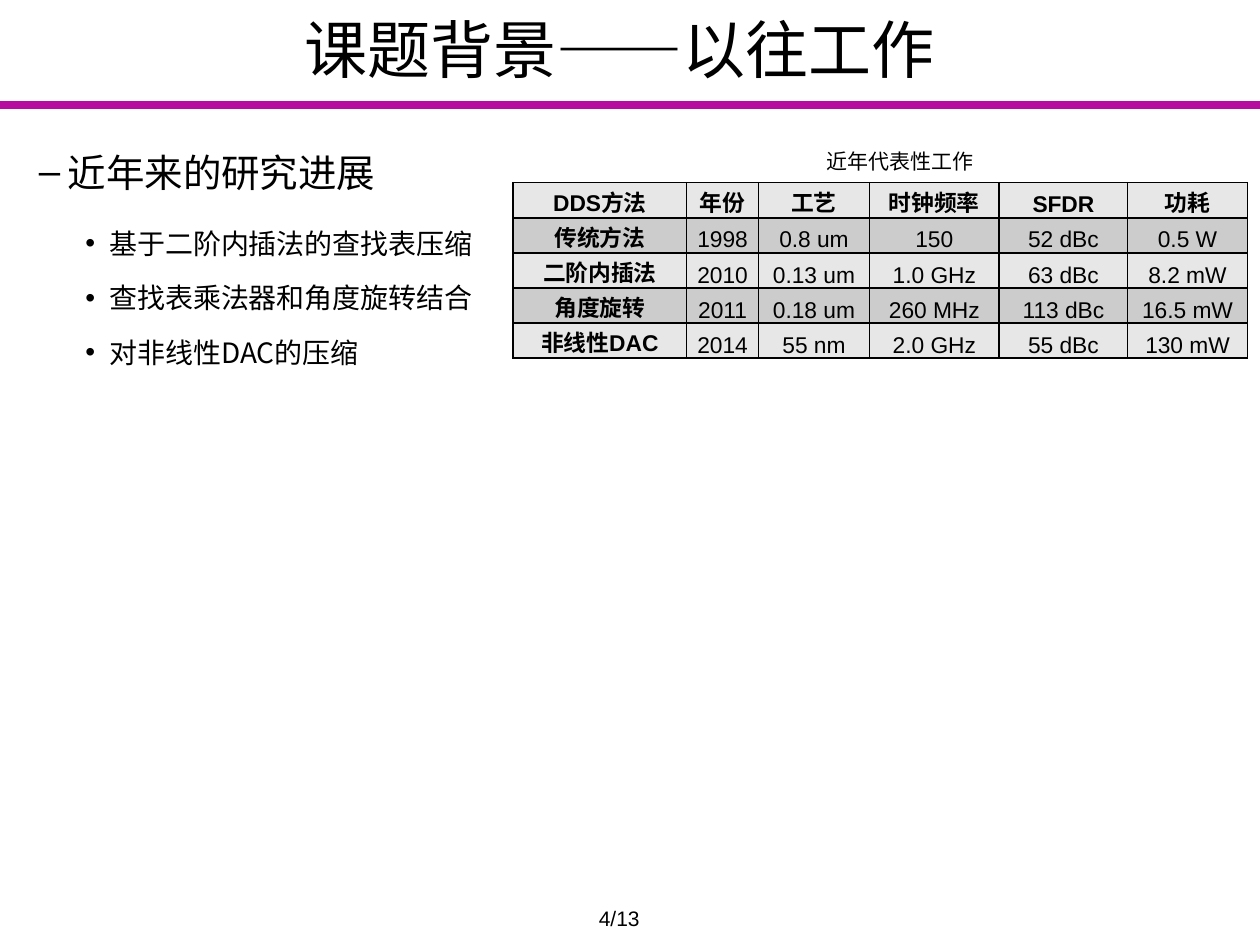
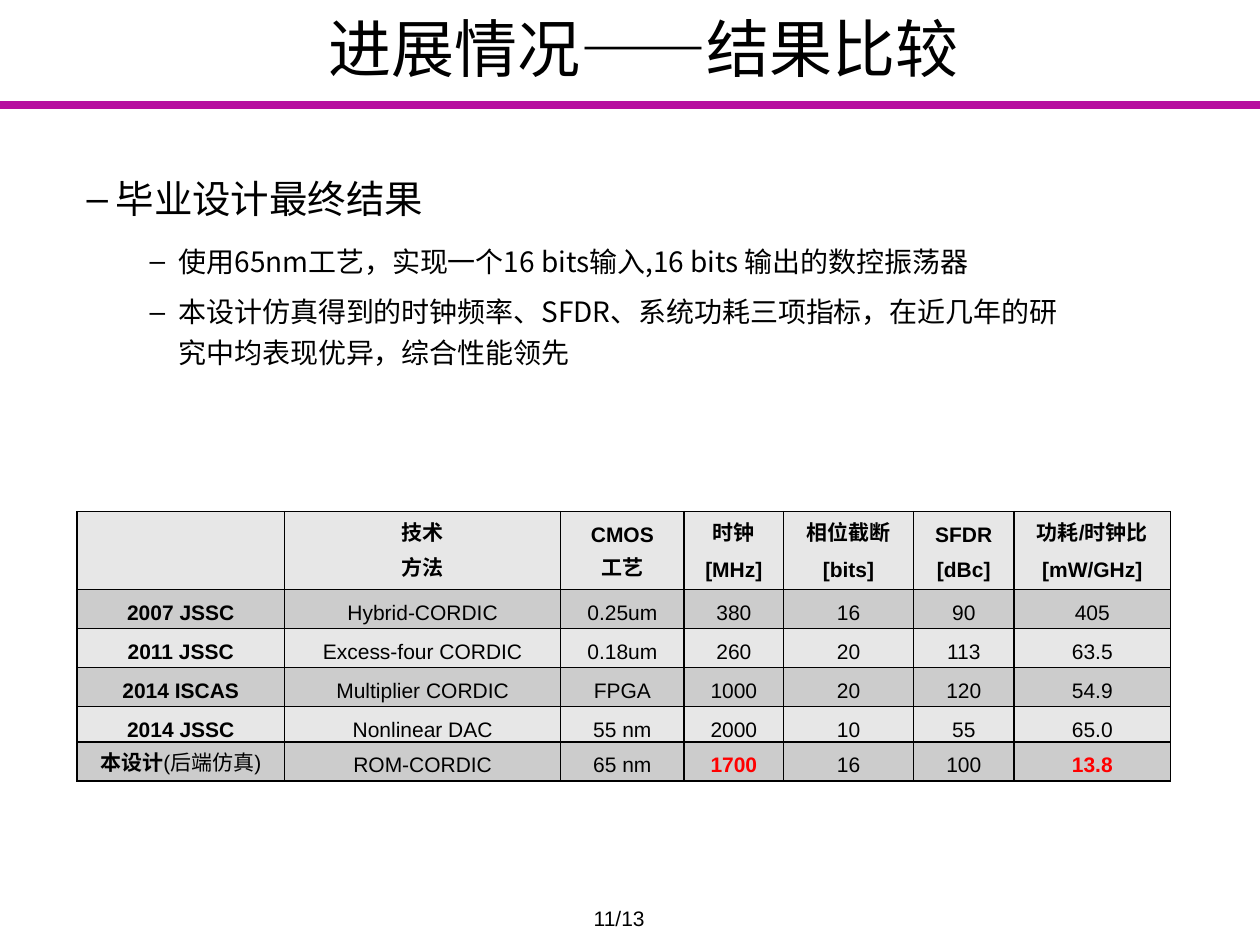
from lxml import etree
from pptx import Presentation, util as u
from pptx.dml.color import RGBColor
from pptx.enum import shapes, text
from pptx.oxml import ns

BLACK = RGBColor(0, 0, 0)
RED = RGBColor(0xFF, 0, 0)
PURPLE = RGBColor(0xB7, 0x0D, 0x9F)
LIGHT = RGBColor(0xE7, 0xE7, 0xE7)
GREY = RGBColor(0xCC, 0xCC, 0xCC)
SANS = "Noto Sans CJK SC"
PAGES = 13


def sub(node, tag, **attrs):
    return etree.SubElement(node, ns.qn(tag), **attrs)


def write(para, words, size=12, font="Arial", color=BLACK, bold=False,
          center=True, left=0, first=0, space=0, line=None, bullet=None):
    """Add a run of words to a paragraph and set the paragraph's format."""
    run = para.add_run()
    run.text = words
    face = run.font
    face.size, face.name, face.bold = u.Pt(size), font, bold
    face.color.rgb = color
    sub(run._r.get_or_add_rPr(), "a:ea", typeface=SANS)
    para.alignment = text.PP_ALIGN.CENTER if center else text.PP_ALIGN.LEFT
    para.space_before = para.space_after = u.Pt(space)
    para.line_spacing = line
    props = para._p.get_or_add_pPr()
    props.set("marL", str(u.Inches(left)))
    props.set("indent", str(u.Inches(first)))
    if bullet:
        sub(props, "a:buFont", typeface="Arial")
        sub(props, "a:buChar", char=bullet)


def add_box(slide, box, middle=False):
    frame = slide.shapes.add_textbox(*map(u.Inches, box)).text_frame
    frame.word_wrap = True
    frame.vertical_anchor = (text.MSO_ANCHOR.MIDDLE if middle
                             else text.MSO_ANCHOR.TOP)
    return frame


def add_list(slide, box, items):
    """Each item is its words and its format."""
    frame = add_box(slide, box)
    for i, (words, form) in enumerate(items):
        para = frame.add_paragraph() if i else frame.paragraphs[0]
        write(para, words, font=SANS, center=False, **form)


def frame_page(deck, title, page, box, font, left=0):
    """New slide with title, purple rule and page number."""
    slide = deck.slides.add_slide(deck.slide_layouts[6])
    # Rule under the title
    rule = slide.shapes.add_connector(
        shapes.MSO_CONNECTOR.STRAIGHT, 0, u.Inches(0.83),
        deck.slide_width, u.Inches(0.83))
    rule.line.color.rgb = PURPLE
    rule.line.width = u.Pt(4.5)
    sub(rule._element.spPr, "a:effectLst")
    # Title and page number
    write(add_box(slide, box, middle=True).paragraphs[0], title,
          size=36, font=font, left=left)
    write(add_box(slide, (3.33, 7.14, 3.17, 0.36)).paragraphs[0],
          f"{page}/{PAGES}")
    return slide


def add_border(cell):
    props = cell._tc.get_or_add_tcPr()
    for side in "LRTB":
        edge = sub(props, f"a:ln{side}", w=str(u.Pt(1)))
        sub(sub(edge, "a:solidFill"), "a:srgbClr", val=str(BLACK))


def add_grid(slide, left, top, cols, rows, data, size, pad, marks=()):
    """Banded table: bold first row and column, marked cells in red.

    A line break starts a paragraph; a bar ends the bold part of a cell.
    """
    grid = slide.shapes.add_table(
        len(rows), len(cols), *map(u.Inches, (left, top, sum(cols), sum(rows)))
    ).table
    grid.first_row = grid.horz_banding = False
    for col, width in zip(grid.columns, cols):
        col.width = u.Inches(width)
    for row, height in zip(grid.rows, rows):
        row.height = u.Inches(height)
    for r, line in enumerate(data):
        for c, words in enumerate(line):
            cell = grid.cell(r, c)
            add_border(cell)
            cell.fill.solid()
            cell.fill.fore_color.rgb = GREY if r % 2 else LIGHT
            cell.margin_left = cell.margin_right = u.Inches(pad)
            cell.margin_top = cell.margin_bottom = 0
            mark = (r, c) in marks
            for i, part in enumerate(words.split("\n") if words else ()):
                frame = cell.text_frame
                para = frame.add_paragraph() if i else frame.paragraphs[0]
                for k, piece in enumerate(part.split("|")):
                    write(para, piece, size=size, line=u.Pt(20),
                          bold=k == 0 and (r == 0 or c == 0 or mark),
                          color=RED if mark else BLACK)


def past_work(deck):
    slide = frame_page(deck, "课题背景——以往工作", 4,
                       (0.42, -0.11, 9, 0.98), "Noto Sans Mono")
    # Table and its caption
    left, top = 4.07, 1.45
    cols = (1.38, 0.57, 0.88, 1.03, 1.02, 0.95)
    add_grid(slide, left, top, cols, [1.39 / 5] * 5, [
        ("DDS方法", "年份", "工艺", "时钟频率", "SFDR", "功耗"),
        ("传统方法", "1998", "0.8 um", "150", "52 dBc", "0.5 W"),
        ("二阶内插法", "2010", "0.13 um", "1.0 GHz", "63 dBc", "8.2 mW"),
        ("角度旋转", "2011", "0.18 um", "260 MHz", "113 dBc", "16.5 mW"),
        ("非线性DAC", "2014", "55 nm", "2.0 GHz", "55 dBc", "130 mW"),
    ], size=13, pad=0.07)
    cap = add_box(slide, (left, top - 0.32, sum(cols), 0.3), middle=True)
    write(cap.paragraphs[0], "近年代表性工作", font="Times New Roman",
          first=0.32)
    # Research points
    head = dict(size=22, left=0.61, first=-0.23, space=12, bullet="–")
    point = dict(size=16, left=0.94, first=-0.19, space=6, bullet="•")
    add_list(slide, (-0.17, 1.13, 4.05, 1.87), [
        ("近年来的研究进展", head),
        ("基于二阶内插法的查找表压缩", point),
        ("查找表乘法器和角度旋转结合", point),
        ("对非线性DAC的压缩", point),
    ])


def results(deck):
    slide = frame_page(deck, "进展情况——结果比较", 11,
                       (0.42, -0.25, 9, 1.25), "Arial", left=0.38)
    # Final results
    base = dict(first=-0.23, line=1.2, bullet="–")
    head = dict(base, size=22, left=0.61, space=6)
    point = dict(base, size=16, left=1.11, space=3)
    add_list(slide, (0.21, 1.27, 8.31, 1.73), [
        ("毕业设计最终结果", head),
        ("使用65nm工艺，实现一个16 bits输入,16 bits 输出的数控振荡器", point),
        ("本设计仿真得到的时钟频率、SFDR、系统功耗三项指标，"
         "在近几年的研究中均表现优异，综合性能领先", point),
    ])
    # Comparison table
    add_grid(slide, 0.61, 4.06, (1.65, 2.19, 0.98, 0.79, 1.03, 0.8, 1.24),
             (0.62, 0.31, 0.31, 0.31, 0.27, 0.31), [
        ("", "技术\n方法", "CMOS\n工艺", "时钟\n[MHz]", "相位截断\n[bits]",
         "SFDR\n[dBc]", "功耗/时钟比\n[mW/GHz]"),
        ("2007 JSSC", "Hybrid-CORDIC", "0.25um", "380", "16", "90", "405"),
        ("2011 JSSC", "Excess-four CORDIC", "0.18um", "260", "20", "113",
         "63.5"),
        ("2014 ISCAS", "Multiplier CORDIC", "FPGA", "1000", "20", "120",
         "54.9"),
        ("2014 JSSC", "Nonlinear DAC", "55 nm", "2000", "10", "55", "65.0"),
        ("本设计|(后端仿真)", "ROM-CORDIC", "65 nm", "1700", "16", "100",
         "13.8"),
    ], size=12, pad=0.08, marks={(5, 3), (5, 6)})


def main():
    deck = Presentation()
    deck.slide_width, deck.slide_height = u.Inches(10), u.Inches(7.5)
    past_work(deck)
    results(deck)
    deck.save("out.pptx")


if __name__ == "__main__":
    main()
